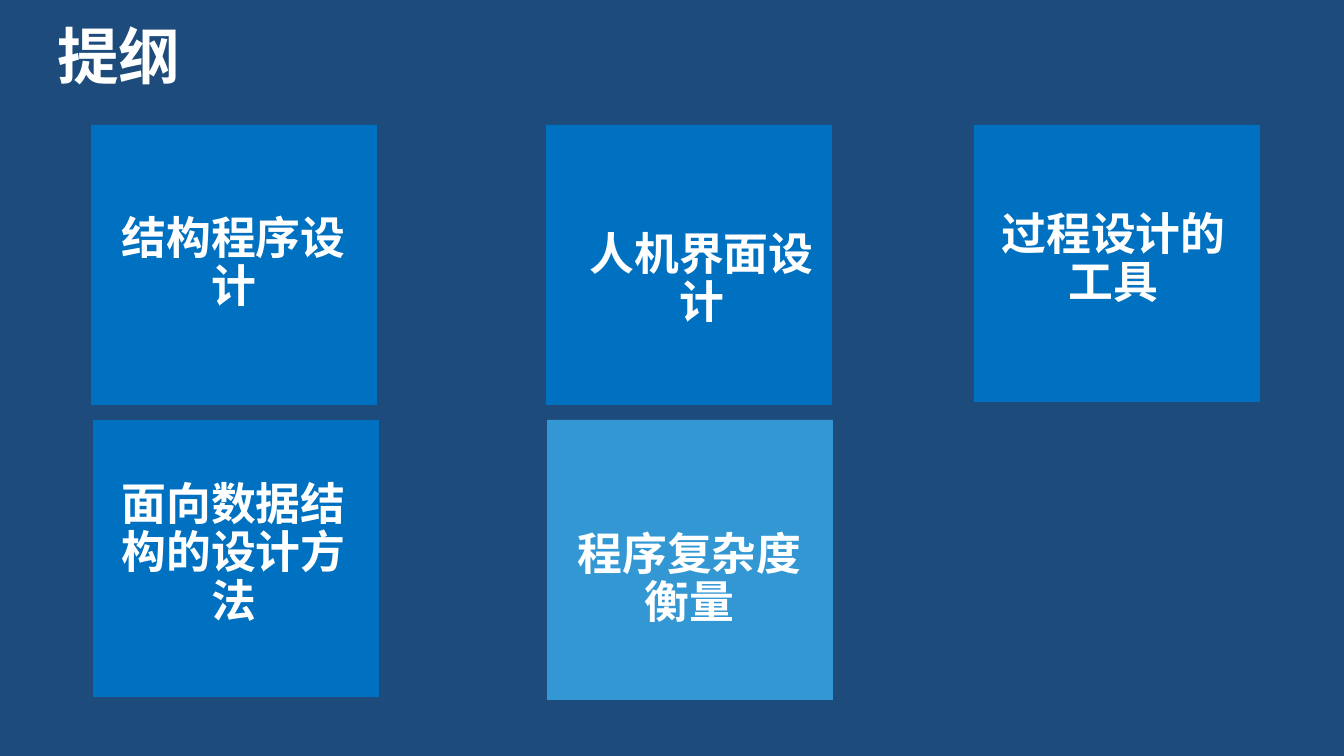
"""Build the outline slide: a title and five topic tiles."""
from pptx import Presentation
from pptx.dml.color import RGBColor
from pptx.enum.shapes import MSO_SHAPE
from pptx.enum.text import MSO_ANCHOR as Anchor, PP_ALIGN as Align
from pptx.oxml.ns import qn
from pptx.util import Pt
from lxml import etree

PX = 914400 / 134.4
FONT = "Noto Sans CJK SC"
BLUE, LIGHT_BLUE, NAVY, WHITE = "0070C0", "3397D3", "1D4C7C", "FFFFFF"
TILE_WIDTH, LABEL_WIDTH = 286, 241


def emu(*lengths):
    return [round(length * PX) for length in lengths]


def add_text(text, box, size, align=Align.LEFT, anchor=Anchor.TOP, spacing=0):
    shape = slide.shapes.add_textbox(*emu(*box))
    frame = shape.text_frame
    frame.word_wrap = True
    frame.vertical_anchor = anchor
    frame.margin_left = frame.margin_right = frame.margin_top = frame.margin_bottom = 0
    paragraph = frame.paragraphs[0]
    paragraph.alignment = align
    paragraph.line_spacing = 0.9
    run = paragraph.add_run()
    run.text = text
    run.font.size = Pt(size)
    run.font.bold = True
    run.font.name = FONT
    run.font.color.rgb = RGBColor.from_string(WHITE)
    properties = run.font._element
    properties.set("spc", str(spacing))
    etree.SubElement(properties, qn("a:ea")).set("typeface", FONT)


presentation = Presentation()
presentation.slide_width, presentation.slide_height = emu(1344, 756)
slide = presentation.slides.add_slide(presentation.slide_layouts[6])
slide.background.fill.solid()
slide.background.fill.fore_color.rgb = RGBColor.from_string(NAVY)

add_text("提纲", (58, 26, 1230, 67), 33, spacing=-80)

tiles = [
    ("结构程序设计", BLUE, (91, 125, 280), (113, 215, 98)),
    ("人机界面设计", BLUE, (546, 125, 280), (581, 231, 98)),
    ("过程设计的工具", BLUE, (974, 125, 277), (993, 211, 98)),
    ("程序复杂度衡量", LIGHT_BLUE, (547, 420, 280), (569, 531, 98)),
    ("面向数据结构的设计方法", BLUE, (93, 420, 277), (113, 481, 147)),
]
for text, color, (left, top, height), (label_left, label_top, label_height) in tiles:
    tile = slide.shapes.add_shape(
        MSO_SHAPE.RECTANGLE, *emu(left, top, TILE_WIDTH, height))
    tile.shadow.inherit = False
    tile.fill.solid()
    tile.fill.fore_color.rgb = RGBColor.from_string(color)
    tile.line.fill.background()
    add_text(text, (label_left, label_top, LABEL_WIDTH, label_height), 24,
             align=Align.CENTER, anchor=Anchor.MIDDLE)

presentation.save("out.pptx")
